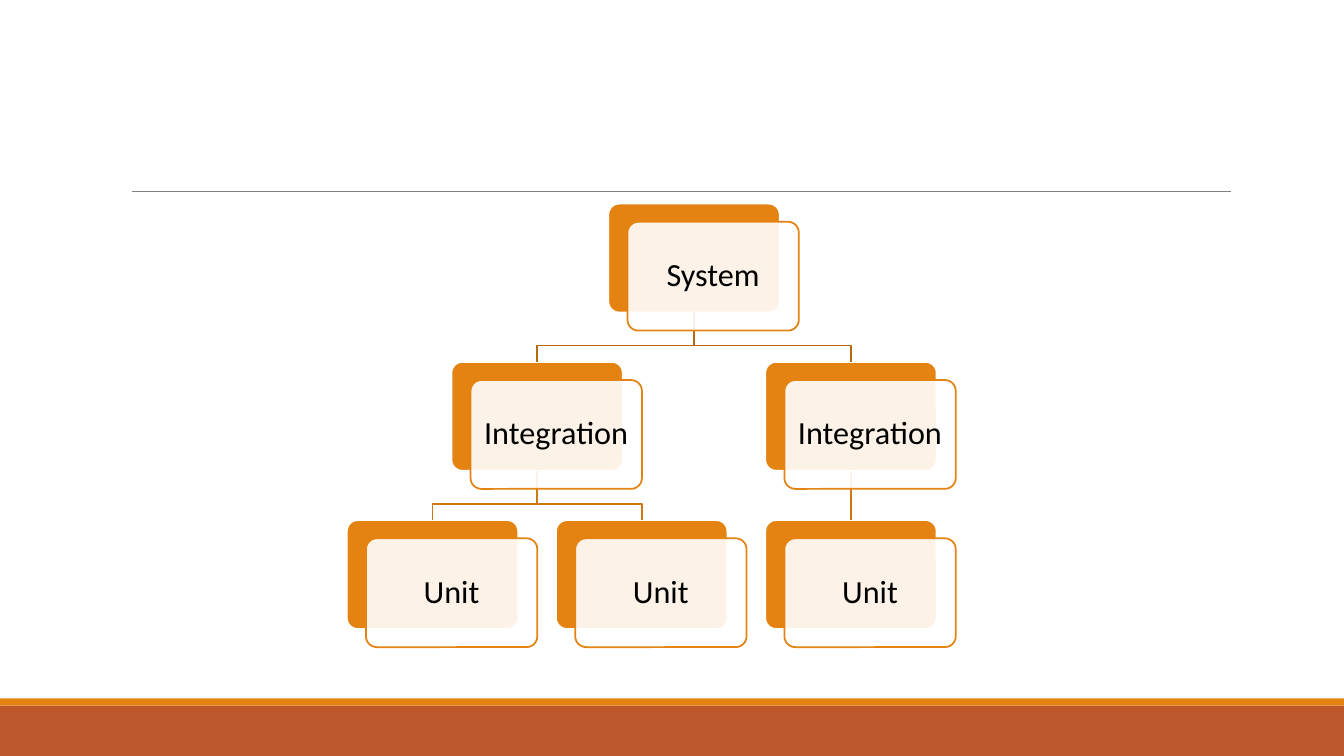
import dataclasses

import lxml.etree
import pptx
import pptx.dml.color
import pptx.enum.shapes
import pptx.enum.text
import pptx.oxml.ns
import pptx.util

Inches = pptx.util.Inches
SHAPE = pptx.enum.shapes.MSO_SHAPE
SLIDE_WIDTH, SLIDE_HEIGHT = 13.33, 7.5


@dataclasses.dataclass(frozen=True)
class Theme:
    """Colours, font and sizes of the slide."""
    rust: str = "BD582C"
    orange: str = "E48312"
    white: str = "FFFFFF"
    rule: str = "808080"
    ink: str = "000000"
    links: tuple = ("B7690E", "CF7710")
    font: str = "Calibri"
    label_size: int = 23
    outline: float = 1.25
    rule_width: float = 0.5


@dataclasses.dataclass(frozen=True)
class Node:
    """A test level's place in the hierarchy grid."""
    label: str
    column: float
    row: int
    parent: int = -1


THEME = Theme()
NODES = (
    Node("System", 1.25, 0),
    Node("Integration", 0.5, 1, 0),
    Node("Integration", 2, 1, 0),
    Node("Unit", 0, 2, 1),
    Node("Unit", 1, 2, 1),
    Node("Unit", 2, 2, 2),
)


def colour(code):
    """Turn a hex code into a colour."""
    return pptx.dml.color.RGBColor.from_string(code)


def set_line(line, code, width):
    """Give a line its colour and width."""
    line.color.rgb = colour(code)
    line.width = pptx.util.Pt(width)


def write(frame, text, size=THEME.label_size, ink=THEME.ink, font=THEME.font, spacing=0.9):
    """Write one centred paragraph into a text frame."""
    frame.word_wrap = True
    frame.vertical_anchor = pptx.enum.text.MSO_ANCHOR.MIDDLE
    frame.margin_left = frame.margin_right = Inches(0.1)
    frame.margin_top = frame.margin_bottom = Inches(0.1)
    paragraph = frame.paragraphs[0]
    paragraph.text = text
    paragraph.alignment = pptx.enum.text.PP_ALIGN.CENTER
    paragraph.line_spacing = spacing
    paragraph.font.name = font
    paragraph.font.size = pptx.util.Pt(size)
    paragraph.font.color.rgb = colour(ink)


def add_panel(slide, box, fill, outline=None, preset=SHAPE.RECTANGLE, opacity=100):
    """Add a filled panel in a box of left, top, width and height."""
    panel = slide.shapes.add_shape(preset, *map(Inches, box))
    panel.shadow.inherit = False
    panel.fill.solid()
    panel.fill.fore_color.rgb = colour(fill)
    if preset == SHAPE.ROUNDED_RECTANGLE:
        panel.adjustments[0] = 0.1
    if opacity < 100:
        tint = panel.fill._xPr.find(".//" + pptx.oxml.ns.qn("a:srgbClr"))
        lxml.etree.SubElement(tint, pptx.oxml.ns.qn("a:alpha"), val=str(opacity * 1000))
    if outline:
        set_line(panel.line, outline, THEME.outline)
    else:
        panel.line.fill.background()
    return panel


def add_straight(slide, start, end, code, width):
    """Add a straight connector without a shadow."""
    line = slide.shapes.add_connector(
        pptx.enum.shapes.MSO_CONNECTOR.STRAIGHT, *map(Inches, start + end))
    set_line(line.line, code, width)
    lxml.etree.SubElement(line._element.spPr, pptx.oxml.ns.qn("a:effectLst"))
    return line


def add_branch(slide, parent, child, code):
    """Join a parent's bottom to a child's top, bending two thirds down."""
    start_x, end_x = (node.left + node.width // 2 for node in (parent, child))
    start_y, end_y = parent.top + parent.height, child.top
    if abs(start_x - end_x) < Inches(0.01):
        ends = [(pptx.util.Emu(x).inches, pptx.util.Emu(y).inches)
                for x, y in ((start_x, start_y), (end_x, end_y))]
        link = add_straight(slide, *ends, code, THEME.outline)
        link.begin_connect(parent, 2)
        link.end_connect(child, 0)
        return
    bend_y = start_y + (end_y - start_y) * 2 // 3
    outline = slide.shapes.build_freeform(start_x, start_y)
    outline.add_line_segments(
        [(start_x, bend_y), (end_x, bend_y), (end_x, end_y)], close=False)
    branch = outline.convert_to_shape()
    branch.shadow.inherit = False
    branch.fill.background()
    set_line(branch.line, code, THEME.outline)


def add_frame(slide, box):
    """Add the title rule and the two footer bands."""
    left, top, width, height = box
    add_panel(slide, (left, top + height - 0.5, width, 0.5), THEME.rust)
    add_panel(slide, (left, top + height - 0.57, width, 0.07), THEME.orange)
    add_straight(slide, (left + 1.31, top + 1.9), (left + 12.21, top + 1.9),
                 THEME.rule, THEME.rule_width)


def add_hierarchy(slide, box):
    """Add the tree of test levels, three columns by three rows."""
    left, top, width, height = box
    card_width, card_height, shift = 1.7, 1.08, (0.19, 0.18)
    column_step = (width - card_width - shift[0]) / 2
    row_step = (height - card_height - shift[1]) / 2
    places = [(left + node.column * column_step, top + node.row * row_step)
              for node in NODES]
    backs = [add_panel(slide, (x, y, card_width, card_height), THEME.orange,
                       THEME.white, SHAPE.ROUNDED_RECTANGLE) for x, y in places]
    for node, back in zip(NODES, backs):
        if node.parent >= 0:
            add_branch(slide, backs[node.parent], back, THEME.links[node.row - 1])
    for node, (x, y) in zip(NODES, places):
        card = add_panel(slide, (x + shift[0], y + shift[1], card_width, card_height),
                         THEME.white, THEME.orange, SHAPE.ROUNDED_RECTANGLE, opacity=90)
        write(card.text_frame, node.label)


def main():
    """Build and save the slide."""
    deck = pptx.Presentation()
    deck.slide_width, deck.slide_height = Inches(SLIDE_WIDTH), Inches(SLIDE_HEIGHT)
    slide = deck.slides.add_slide(deck.slide_layouts[6])
    add_frame(slide, (0, 0, SLIDE_WIDTH, SLIDE_HEIGHT))
    add_hierarchy(slide, (3.44, 2.02, 6.04, 4.4))
    deck.save("out.pptx")


if __name__ == "__main__":
    main()
